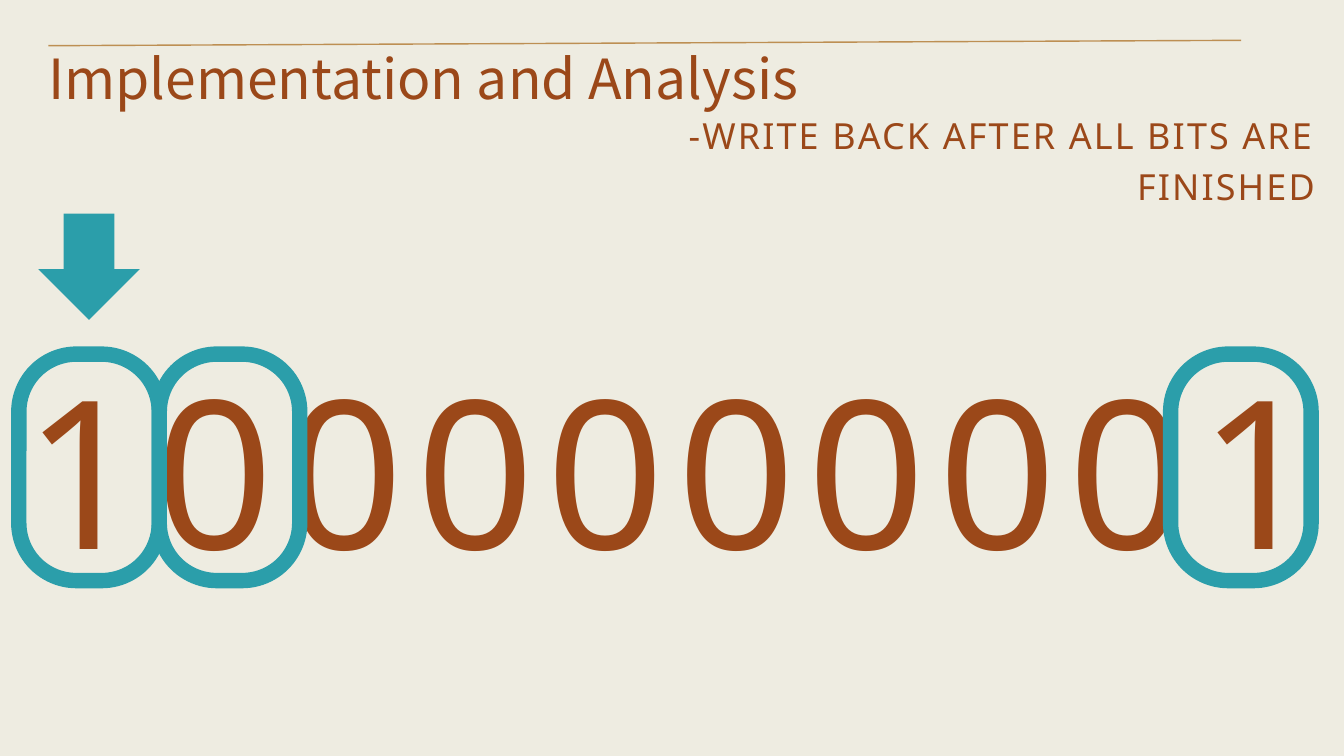
from lxml import etree
from pptx import Presentation
from pptx import util as u
from pptx.dml.color import RGBColor
from pptx.enum import shapes, text
from pptx.oxml import ns

COLORS = {
    "background": "EEECE1",
    "text": "9B4819",
    "accent": "2B9EAA",
    "rule": "BD8F53",
}


def color(name):
    return RGBColor.from_string(COLORS[name])


def place(sp, left, top, width, height):
    sp.left, sp.top = u.Inches(left), u.Inches(top)
    sp.width, sp.height = u.Inches(width), u.Inches(height)


def write(sp, words, font, size, leading, align, spacing=0):
    tf = sp.text_frame
    tf.word_wrap = True
    tf.auto_size = text.MSO_AUTO_SIZE.NONE
    tf.vertical_anchor = text.MSO_ANCHOR.TOP
    tf.margin_left = tf.margin_right = tf.margin_top = tf.margin_bottom = 0
    p = tf.paragraphs[0]
    p.alignment = align
    p.line_spacing = u.Pt(leading)
    p.space_before = u.Pt(0)
    r = p.add_run()
    r.text = words
    r.font.name = font
    r.font.size = u.Pt(size)
    r.font.color.rgb = color("text")
    if spacing:
        r.font._element.set("spc", str(round(spacing * 100)))


def add_title(s, words):
    sp = s.shapes.title
    place(sp, 0.72, 0.72, 11.71, 0.94)
    write(sp, words, "Noto Sans CJK JP", 59.2, 66.3, text.PP_ALIGN.LEFT)


def add_text(s, box, words, size, leading, align, spacing):
    sp = s.shapes.add_textbox(*map(u.Inches, box))
    write(sp, words, "Noto Sans", size, leading, align, spacing)


def add_pointer(s, left, top, width, height):
    sp = s.shapes.add_shape(shapes.MSO_SHAPE.DOWN_ARROW,
                            *map(u.Inches, (left, top, width, height)))
    sp.shadow.inherit = False
    sp.fill.solid()
    sp.fill.fore_color.rgb = color("accent")
    sp.line.fill.background()


def add_bit_frame(s, left):
    sp = s.shapes.add_shape(shapes.MSO_SHAPE.ROUNDED_RECTANGLE,
                            *map(u.Inches, (left, 5.27, 2.09, 3.37)))
    sp.adjustments[0] = 0.41
    sp.shadow.inherit = False
    sp.fill.background()
    sp.line.color.rgb = color("accent")
    sp.line.width = u.Pt(16.5)


def add_rule(s, x1, y1, x2, y2):
    line = s.shapes.add_connector(shapes.MSO_CONNECTOR.STRAIGHT,
                                  *map(u.Inches, (x1, y1, x2, y2)))
    line.line.color.rgb = color("rule")
    line.line.width = u.Pt(1.5)
    etree.SubElement(line._element.spPr, ns.qn("a:effectLst"))


def main():
    prs = Presentation()
    prs.slide_width, prs.slide_height = u.Inches(20), u.Inches(11.25)
    s = prs.slides.add_slide(prs.slide_layouts[5])
    s.background.fill.solid()
    s.background.fill.fore_color.rgb = color("background")

    add_title(s, "Implementation and Analysis")
    add_pointer(s, 0.57, 3.18, 1.51, 1.58)
    add_text(s, (-1.29, 4.49, 22.58, 4.14), "1000000001",
             221.6, 310.2, text.PP_ALIGN.CENTER, 13.3)
    for left in (0.28, 2.37, 17.42):
        add_bit_frame(s, left)
    add_rule(s, 0.72, 0.68, 18.47, 0.6)
    add_text(s, (7.44, 1.59, 12.13, 0.71), "-WRITE BACK AFTER ALL BITS ARE FINISHED",
             38.5, 53.9, text.PP_ALIGN.RIGHT, 2.3)
    prs.save("out.pptx")


if __name__ == "__main__":
    main()
